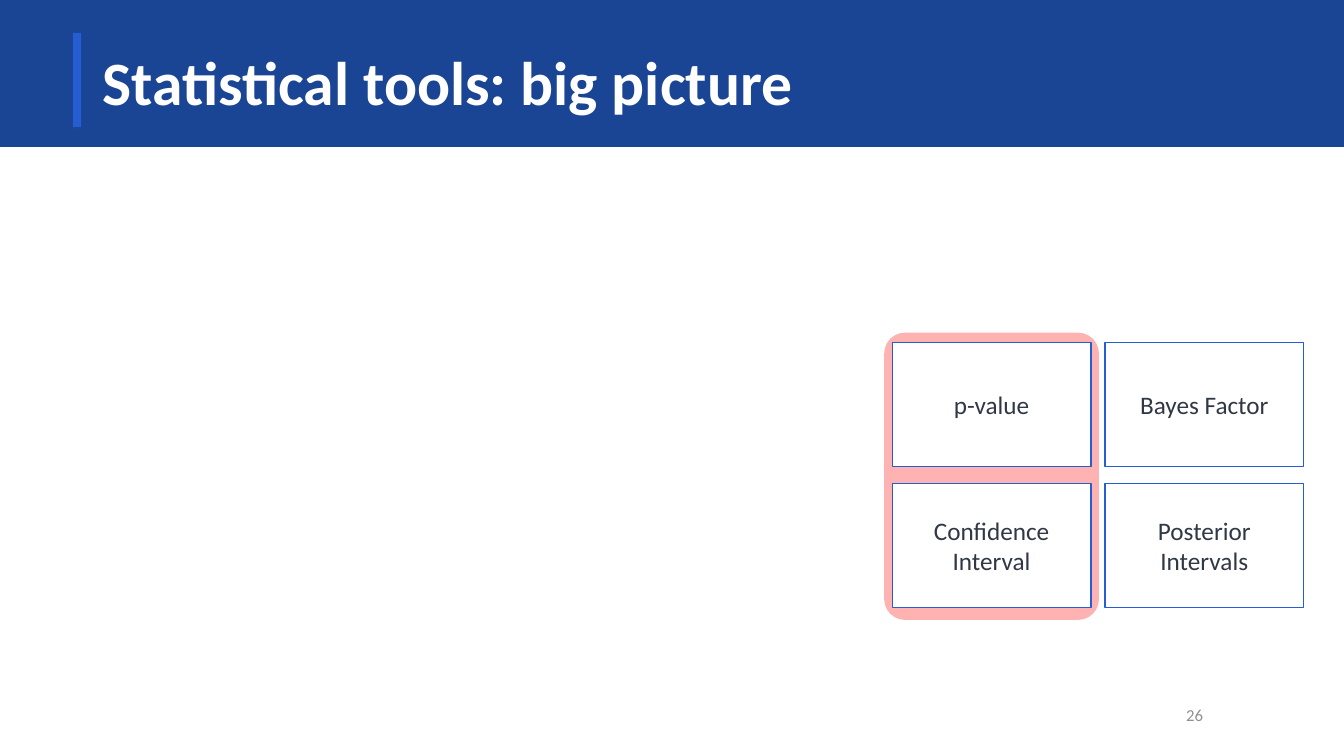
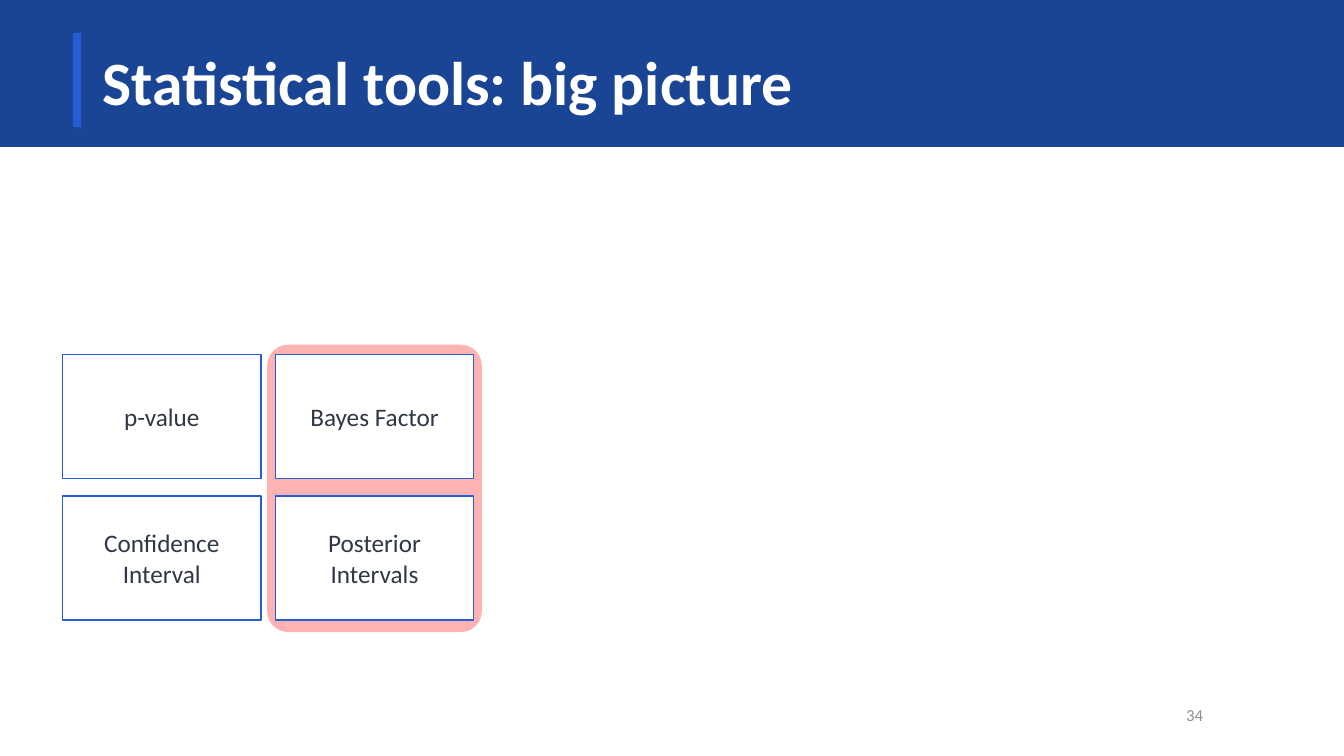
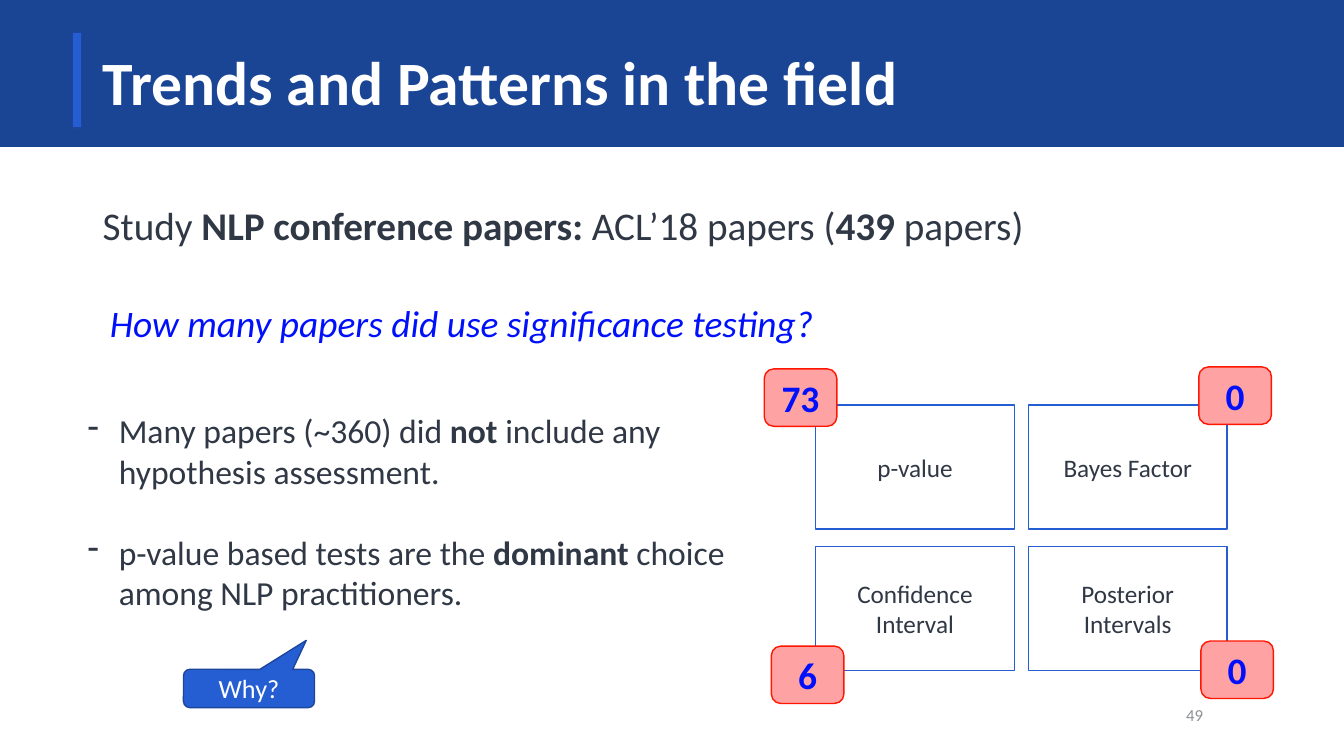
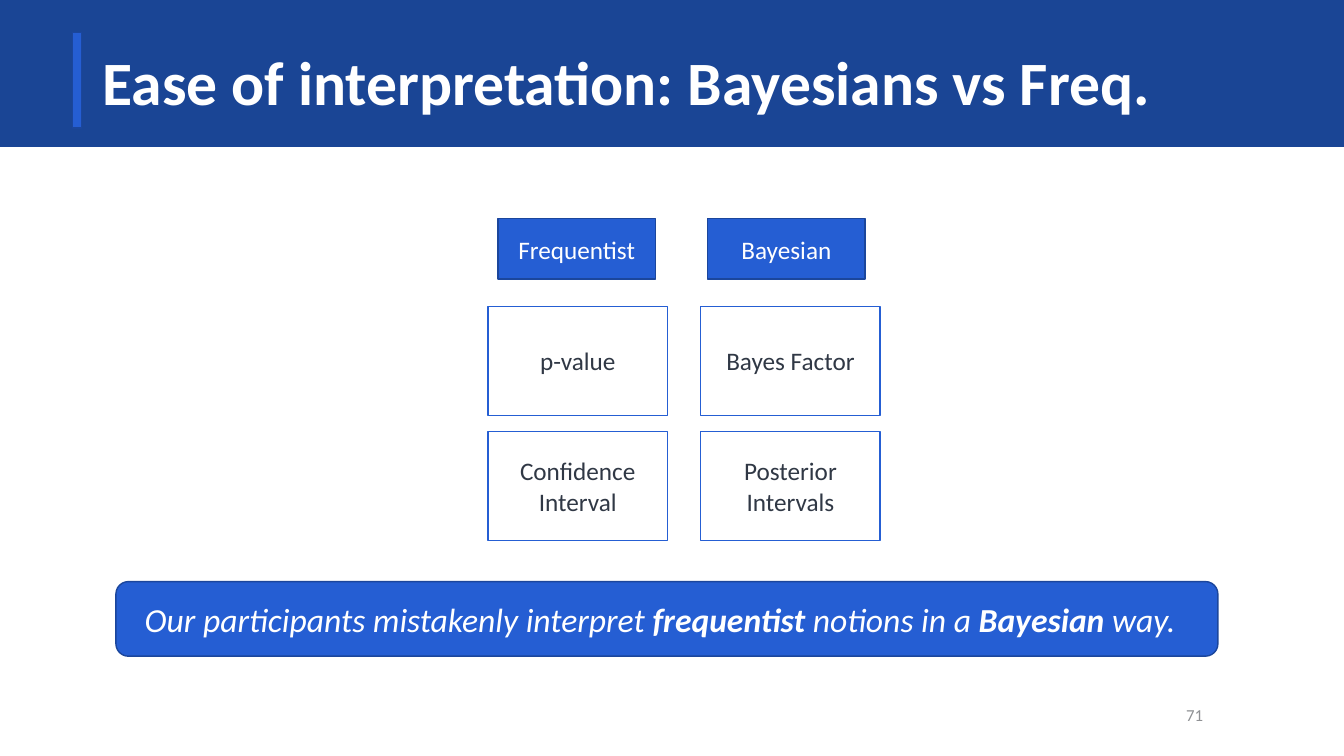
from lxml import etree
from pptx import Presentation
from pptx.dml.color import RGBColor
from pptx.enum.shapes import MSO_SHAPE
from pptx.enum.text import MSO_ANCHOR, PP_ALIGN
from pptx.oxml.ns import qn
from pptx.util import Inches, Pt

RECT = MSO_SHAPE.RECTANGLE
ROUND = MSO_SHAPE.ROUNDED_RECTANGLE
CALLOUT = MSO_SHAPE.ROUNDED_RECTANGULAR_CALLOUT
TOP, MIDDLE = MSO_ANCHOR.TOP, MSO_ANCHOR.MIDDLE
LEFT, CENTER, RIGHT = PP_ALIGN.LEFT, PP_ALIGN.CENTER, PP_ALIGN.RIGHT

FONT = "Calibri"
COLORS = {
    "band": "1A4595",
    "accent": "255ED3",
    "accent_edge": "1B469C",
    "white": "FFFFFF",
    "text": "303845",
    "number": "8F9194",
    "highlight": "FF0000",
    "count_fill": "FFA2A3",
    "count_edge": "FF1600",
    "question": "0010FB",
}
TOOLS = [["p-value", "Bayes Factor"],
         ["Confidence Interval", "Posterior Intervals"]]
COLUMN_PITCH = 2.11


def rgb(name):
    return RGBColor.from_string(COLORS[name])


def add_bullet(p, char, indent):
    pPr = p._p.get_or_add_pPr()
    pPr.set("marL", str(Inches(indent)))
    pPr.set("indent", str(-Inches(indent)))
    etree.SubElement(pPr, qn("a:buChar")).set("char", char)


def write(sp, *paragraphs, size=18, color="text", bold=False, italic=False,
          align=LEFT, anchor=MIDDLE, spacing=None, gap=0, bullet=None):
    """Fill a shape with text; words between asterisks are bold."""
    tf = sp.text_frame
    tf.word_wrap = True
    tf.vertical_anchor = anchor
    for i, text in enumerate(paragraphs):
        p = tf.add_paragraph() if i else tf.paragraphs[0]
        if i:
            p.space_before = Pt(gap)
        p.alignment = align
        if spacing:
            p.line_spacing = spacing
        if bullet:
            add_bullet(p, bullet, 0.31)
        for j, part in enumerate(text.split("*")):
            r = p.add_run()
            r.text = part
            r.font.name = FONT
            r.font.size = Pt(size)
            r.font.color.rgb = rgb(color)
            r.font.bold = bold or j % 2 == 1
            r.font.italic = italic


def add_text(s, box, *paragraphs, **style):
    write(s.shapes.add_textbox(*map(Inches, box)), *paragraphs, **style)


def add_box(s, box, fill, line=None, kind=RECT, alpha=None):
    sp = s.shapes.add_shape(kind, *map(Inches, box))
    sp.shadow.inherit = False
    sp.fill.solid()
    sp.fill.fore_color.rgb = rgb(fill)
    if alpha is not None:
        color = sp._element.spPr.find(qn("a:solidFill"))[0]
        etree.SubElement(color, qn("a:alpha")).set("val", str(alpha * 1000))
    if line:
        sp.line.color.rgb = rgb(line)
        sp.line.width = Pt(1)
    else:
        sp.line.fill.background()
    return sp


def add_accent_box(s, box, text, kind=RECT, size=18, **style):
    sp = add_box(s, box, "accent", "accent_edge", kind)
    write(sp, text, size=size, color="white", **style)
    return sp


def add_slide(prs, title, number):
    """Blank slide with the title band and the slide number."""
    s = prs.slides.add_slide(prs.slide_layouts[6])
    add_box(s, (0, 0, 13.33, 1.45), "band", "band")
    add_box(s, (0.72, 0.32, 0.09, 0.95), "accent", "accent_edge")
    add_text(s, (0.92, 0.32, 11.5, 1.05), title, size=44, color="white",
             bold=True, spacing=0.9)
    add_text(s, (11.45, 6.89, 0.58, 0.4), str(number), size=12,
             color="number", align=RIGHT)
    return s


def add_tool_grid(s, left, top, width=1.97, height=1.23, row_pitch=1.4):
    for row, names in enumerate(TOOLS):
        for col, name in enumerate(names):
            box = (left + col * COLUMN_PITCH, top + row * row_pitch,
                   width, height)
            write(add_box(s, box, "white", "accent"), name, align=CENTER)


def add_big_picture(prs, number, left, top, marked_column):
    """Grid of tools with one column highlighted."""
    s = add_slide(prs, "Statistical tools: big picture", number)
    mark = add_box(s, (left + marked_column * COLUMN_PITCH - 0.08, top - 0.1,
                       2.13, 2.85), "highlight", kind=ROUND, alpha=30)
    mark.adjustments[0] = 0.097
    add_tool_grid(s, left, top)


def add_count(s, left, top, count):
    sp = add_box(s, (left, top, 0.72, 0.57), "count_fill", "count_edge", ROUND)
    sp.text_frame.margin_top = sp.text_frame.margin_bottom = 0
    write(sp, str(count), size=26.7, color="question", bold=True, align=CENTER)


def add_trends(prs):
    s = add_slide(prs, "Trends and Patterns in the field", 49)
    add_tool_grid(s, 8.09, 4.02)
    add_text(s, (0.92, 2, 10.84, 0.6),
             "Study *NLP conference papers: *ACL’18 papers (*439* papers)",
             size=28, spacing=0.9, anchor=TOP)
    add_text(s, (0.99, 2.93, 7.35, 0.55),
             "How many papers did use significance testing?",
             size=26.7, color="question", italic=True, anchor=TOP)
    add_text(s, (0.77, 4.02, 6.67, 2.52),
             "Many papers (~360) did *not* include any hypothesis assessment.",
             "p-value based tests are the *dominant* choice among NLP "
             "practitioners.",
             size=24, anchor=TOP, bullet="-", gap=29)
    for count in [(7.58, 3.66, 73), (7.65, 6.41, 6),
                  (11.89, 3.64, 0), (11.91, 6.36, 0)]:
        add_count(s, *count)
    why = add_accent_box(s, (1.82, 6.64, 1.3, 0.38), "Why?", CALLOUT,
                         size=18.7, align=CENTER)
    why.adjustments[0] = 0.437
    why.adjustments[1] = -1.257


def add_interpretation(prs):
    s = add_slide(prs, "Ease of interpretation: Bayesians vs Freq.", 71)
    add_tool_grid(s, 4.84, 3.04, 1.78, 1.08, 1.24)
    for left, school in [(4.94, "Frequentist"), (7.02, "Bayesian")]:
        add_accent_box(s, (left, 2.17, 1.56, 0.6), school, align=CENTER)
    finding = add_accent_box(
        s, (1.15, 5.77, 10.93, 0.74),
        "Our participants mistakenly interpret *frequentist* notions in a "
        "*Bayesian* way.", ROUND, size=24, italic=True)
    finding.text_frame.margin_left = Inches(0.25)


def main():
    prs = Presentation()
    prs.slide_width, prs.slide_height = Inches(13.33), Inches(7.5)
    add_big_picture(prs, 26, 8.85, 3.4, marked_column=0)
    add_big_picture(prs, 34, 0.62, 3.52, marked_column=1)
    add_trends(prs)
    add_interpretation(prs)
    prs.save("out.pptx")


if __name__ == "__main__":
    main()
